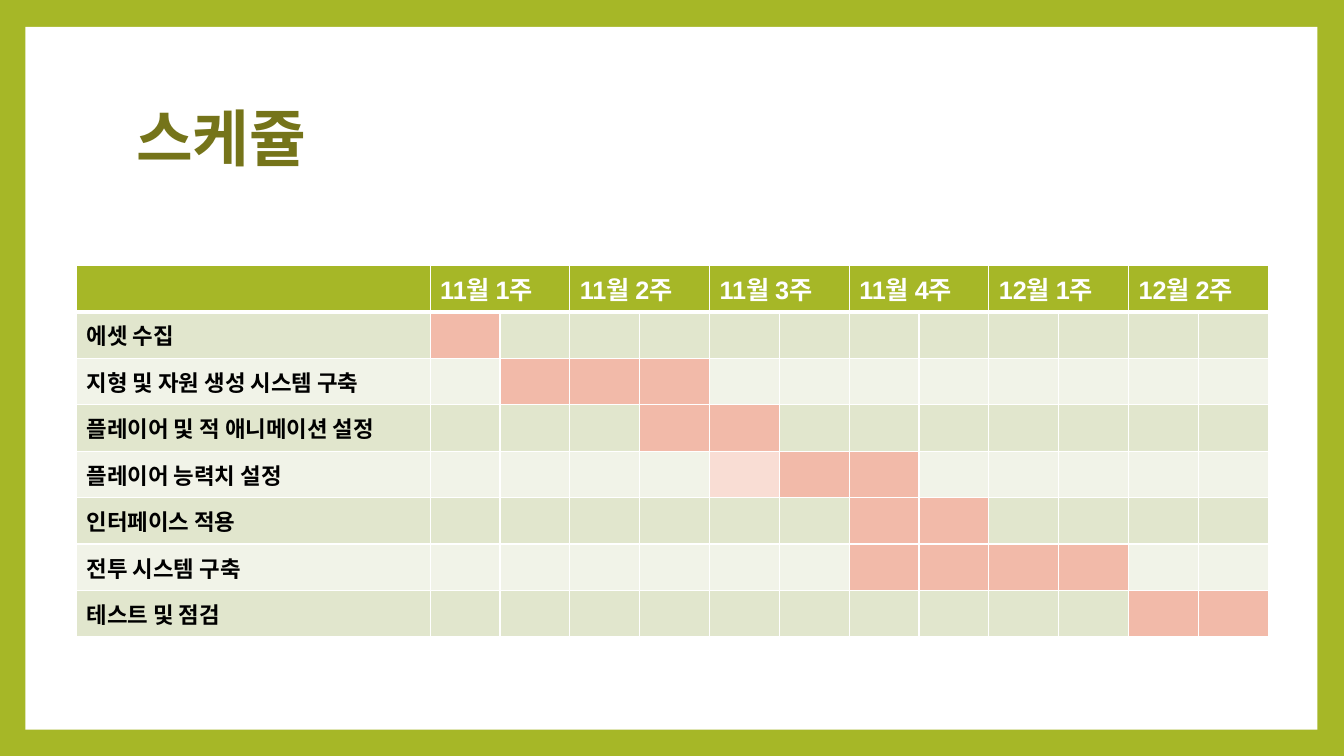
from lxml.etree import SubElement
from pptx import Presentation
from pptx.dml.color import RGBColor
from pptx.enum.shapes import MSO_SHAPE
from pptx.enum.text import MSO_ANCHOR
from pptx.oxml.ns import qn
from pptx.util import Cm, Pt

WEEKS = ["11월 1주", "11월 2주", "11월 3주", "11월 4주", "12월 1주", "12월 2주"]
HALF_WEEKS = 2 * len(WEEKS)
# Task, first and last half-week of full work, half-weeks of light work
TASKS = [
    ("에셋 수집", 1, 1, []),
    ("지형 및 자원 생성 시스템 구축", 2, 4, []),
    ("플레이어 및 적 애니메이션 설정", 4, 5, []),
    ("플레이어 능력치 설정", 6, 7, [5]),
    ("인터페이스 적용", 7, 8, []),
    ("전투 시스템 구축", 7, 10, []),
    ("테스트 및 점검", 11, 12, []),
]


def color(hex_string):
    return RGBColor.from_string(hex_string)


def write_text(frame, text, font="Arial", size=16, hex_color="000000", line_spacing=1.0):
    paragraph = frame.paragraphs[0]
    paragraph.line_spacing = line_spacing
    run = paragraph.add_run()
    run.text = text
    run.font.name = font
    run.font.size = Pt(size)
    run.font.bold = True
    run.font.color.rgb = color(hex_color)


class ScheduleSlide:
    GREEN = "A6B727"
    OLIVE = "75741A"
    WHITE = "FFFFFF"
    BANDS = ("E1E6CD", "F1F3E8")
    WORK = "F2BAA9"
    LIGHT_WORK = "F9DDD4"

    def __init__(self, presentation):
        self.slide = presentation.slides.add_slide(presentation.slide_layouts[6])
        background = self.slide.background.fill
        background.solid()
        background.fore_color.rgb = color(self.GREEN)

    def add_panel(self, left, top, width, height):
        shape = self.slide.shapes.add_shape(
            MSO_SHAPE.RECTANGLE, Cm(left), Cm(top), Cm(width), Cm(height))
        shape.shadow.inherit = False
        shape.fill.solid()
        shape.fill.fore_color.rgb = color(self.WHITE)
        shape.line.fill.background()

    def add_title(self, text, left, top, width, height):
        box = self.slide.shapes.add_textbox(Cm(left), Cm(top), Cm(width), Cm(height))
        frame = box.text_frame
        frame.word_wrap = True
        frame.vertical_anchor = MSO_ANCHOR.MIDDLE
        write_text(frame, text, font="Cabin", size=44, hex_color=self.OLIVE, line_spacing=0.9)

    def format_cell(self, cell, fill, top=1, bottom=1):
        """Fill the cell and give it white borders; top and bottom are in points."""
        properties = cell._tc.get_or_add_tcPr()
        for side, width in (("L", 1), ("R", 1), ("T", top), ("B", bottom)):
            line = SubElement(properties, qn(f"a:ln{side}"), w=str(Pt(width)))
            SubElement(SubElement(line, qn("a:solidFill")), qn("a:srgbClr"), val=self.WHITE)
        cell.fill.solid()
        cell.fill.fore_color.rgb = color(fill)

    def add_schedule(self, left, top, label_width, slot_width, row_height):
        row_count = len(TASKS) + 1
        table = self.slide.shapes.add_table(
            row_count, HALF_WEEKS + 1, Cm(left), Cm(top),
            Cm(label_width + HALF_WEEKS * slot_width), Cm(row_height * row_count)).table
        table.horz_banding = False
        for index, column in enumerate(table.columns):
            column.width = Cm(slot_width if index else label_width)
        for row in table.rows:
            row.height = Cm(row_height)

        for column in range(HALF_WEEKS + 1):
            self.format_cell(table.cell(0, column), self.GREEN, bottom=3)
        for index, week in enumerate(WEEKS):
            cell = table.cell(0, 2 * index + 1)
            cell.merge(table.cell(0, 2 * index + 2))
            write_text(cell.text_frame, week, size=18, hex_color=self.WHITE)

        for row, (task, first, last, light) in enumerate(TASKS, start=1):
            for column in range(HALF_WEEKS + 1):
                fill = self.BANDS[(row - 1) % 2]
                if first <= column <= last:
                    fill = self.WORK
                elif column in light:
                    fill = self.LIGHT_WORK
                self.format_cell(table.cell(row, column), fill, top=3 if row == 1 else 1)
            label = table.cell(row, 0)
            label.vertical_anchor = MSO_ANCHOR.MIDDLE
            write_text(label.text_frame, task)


def main():
    presentation = Presentation()
    presentation.slide_width = Cm(33.87)
    presentation.slide_height = Cm(19.05)
    schedule = ScheduleSlide(presentation)
    schedule.add_panel(0.64, 0.68, 32.56, 17.71)
    schedule.add_title("스케쥴", 3.18, 1.7, 27.43, 3.76)
    schedule.add_schedule(1.93, 6.69, label_width=8.91, slot_width=1.76, row_height=1.17)
    presentation.save("out.pptx")


if __name__ == "__main__":
    main()
